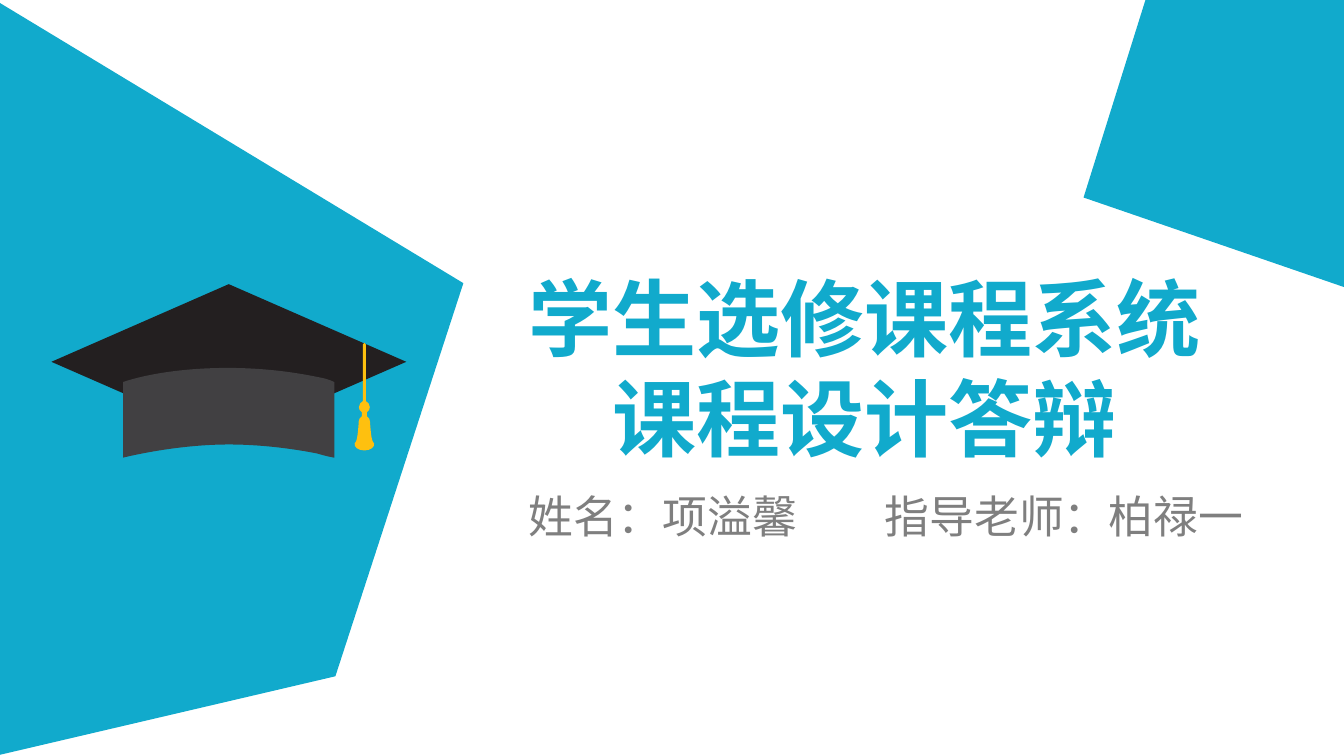
from dataclasses import dataclass

from lxml.etree import SubElement
from pptx import Presentation
from pptx.dml.color import RGBColor
from pptx.enum.text import MSO_AUTO_SIZE, PP_ALIGN
from pptx.oxml.ns import qn
from pptx.util import Pt

BLUE, GRAY = "11AACC", "7F7F7F"
Point = tuple[float, float]
Step = list[Point]  # one point for a line, three for a Bezier curve


@dataclass
class Outline:
    color: str
    steps: list[Step]


@dataclass
class Label:
    text: str
    left: float
    top: float
    width: float
    height: float
    size: float
    font: str
    color: str
    bold: bool = False
    wrap: bool = False


def paint(fill, color: str) -> None:
    fill.solid()
    fill.fore_color.rgb = RGBColor.from_string(color)


def lines(*points: Point) -> list[Step]:
    return [[point] for point in points]


def mirror(half: list[Step], axis: float) -> list[Step]:
    """Close a right half, given as offsets from the axis, with its reflection."""
    right = [[(axis + x, y) for x, y in step] for step in half]
    back = [(axis - x, y) for step in half for x, y in step][-2::-1]
    left = []
    for step in half[:0:-1]:
        left.append(back[:len(step)])
        back = back[len(step):]
    return right + left


def draw(shapes, outline: Outline) -> None:
    dots = [(Pt(x), Pt(y)) for step in outline.steps for x, y in step]
    pen = shapes.build_freeform(*dots[0])
    pen.add_line_segments(dots[1:], close=True)
    shape = pen.convert_to_shape()
    shape.shadow.inherit = False
    paint(shape.fill, outline.color)
    shape.line.fill.background()

    # Join each three line segments of a curve into one Bezier element
    parts = iter(list(shape._element.iter(qn("a:lnTo"))))
    for step in outline.steps[1:]:
        first, *rest = [next(parts) for _ in step]
        for part in rest:
            first.append(part[0])
            part.getparent().remove(part)
        if rest:
            first.tag = qn("a:cubicBezTo")


def write(shapes, label: Label) -> None:
    box = shapes.add_textbox(Pt(label.left), Pt(label.top), Pt(label.width), Pt(label.height))
    frame = box.text_frame
    frame.text = label.text
    frame.word_wrap = label.wrap
    frame.auto_size = MSO_AUTO_SIZE.SHAPE_TO_FIT_TEXT
    para = frame.paragraphs[0]
    para.alignment = PP_ALIGN.CENTER
    font = para.runs[0].font
    font.size, font.bold, font.name = Pt(label.size), label.bold, label.font
    paint(font.fill, label.color)
    # East Asian typeface
    SubElement(para.runs[0]._r.get_or_add_rPr(), qn("a:ea"), typeface=label.font)


PANELS = [
    Outline(BLUE, lines((987.8, 214.6), (774, 141.1), (841, -72.7), (987.8, -71.3))),
    Outline(BLUE, lines((-3.6, 0), (331, 202.3), (239.6, 483.1), (-3.6, 540))),
]

# Right half of the tassel
TASSEL = [
    [(0, 244.8)], [(1.1, 246.2)], [(1.1, 286.6)],
    [(2.5, 287.3), (3.9, 288.7), (3.9, 290.9)],
    [(3.9, 292.3), (3.2, 293.8), (1.8, 294.5)],
    [(1.8, 297.4)],
    [(3.2, 298.1), (3.9, 299.5), (4, 301)],
    [(4.7, 311.8), (5.4, 315.4), (6.9, 316.8)],
    [(7.6, 319), (4.7, 321.8), (0, 321.8)],
]

CAP = [
    Outline("231F20", lines((290.2, 258.5), (163.4, 313.9), (36.7, 258.5), (163.4, 203))),
    Outline("414042", [
        [(87.9, 272.9)],
        [(87.9, 272.9), (114.5, 262.8), (162.7, 262.8)],
        [(195.8, 262.8), (219.6, 267.8), (230.4, 270)],
        [(236.2, 271.4), (238.8, 272.9), (238.8, 272.9)],
        [(238.8, 326.9)],
        [(238.8, 326.9), (234, 326.2), (226.8, 324)],
        [(212.4, 321.1), (188.6, 317.5), (163.4, 317.5)],
        [(124.6, 317.5), (87.9, 326.9), (87.9, 326.9)],
    ]),
    Outline("FEC00F", mirror(TASSEL, 260.3)),
]

SANS = "Noto Sans CJK SC"
LABELS = [
    Label("学生选修课程系统课程设计答辩", 341.8, 186.5, 551.5, 152.6, 60,
          "Noto Sans CJK JP", BLUE, bold=True, wrap=True),
    Label("指导老师：柏禄一", 618.6, 345.6, 283, 46, 32, SANS, GRAY),
    Label("姓名：项溢馨", 364.4, 345.6, 218, 46, 32, SANS, GRAY),
]


def main() -> None:
    deck = Presentation()
    deck.slide_width, deck.slide_height = Pt(960), Pt(540)
    shapes = deck.slides.add_slide(deck.slide_layouts[6]).shapes

    # Corner panels
    for panel in PANELS:
        draw(shapes, panel)

    # Graduation cap
    group = shapes.add_group_shape().shapes
    for part in CAP:
        draw(group, part)

    # Title and names
    for label in LABELS:
        write(shapes, label)

    deck.save("out.pptx")


if __name__ == "__main__":
    main()
